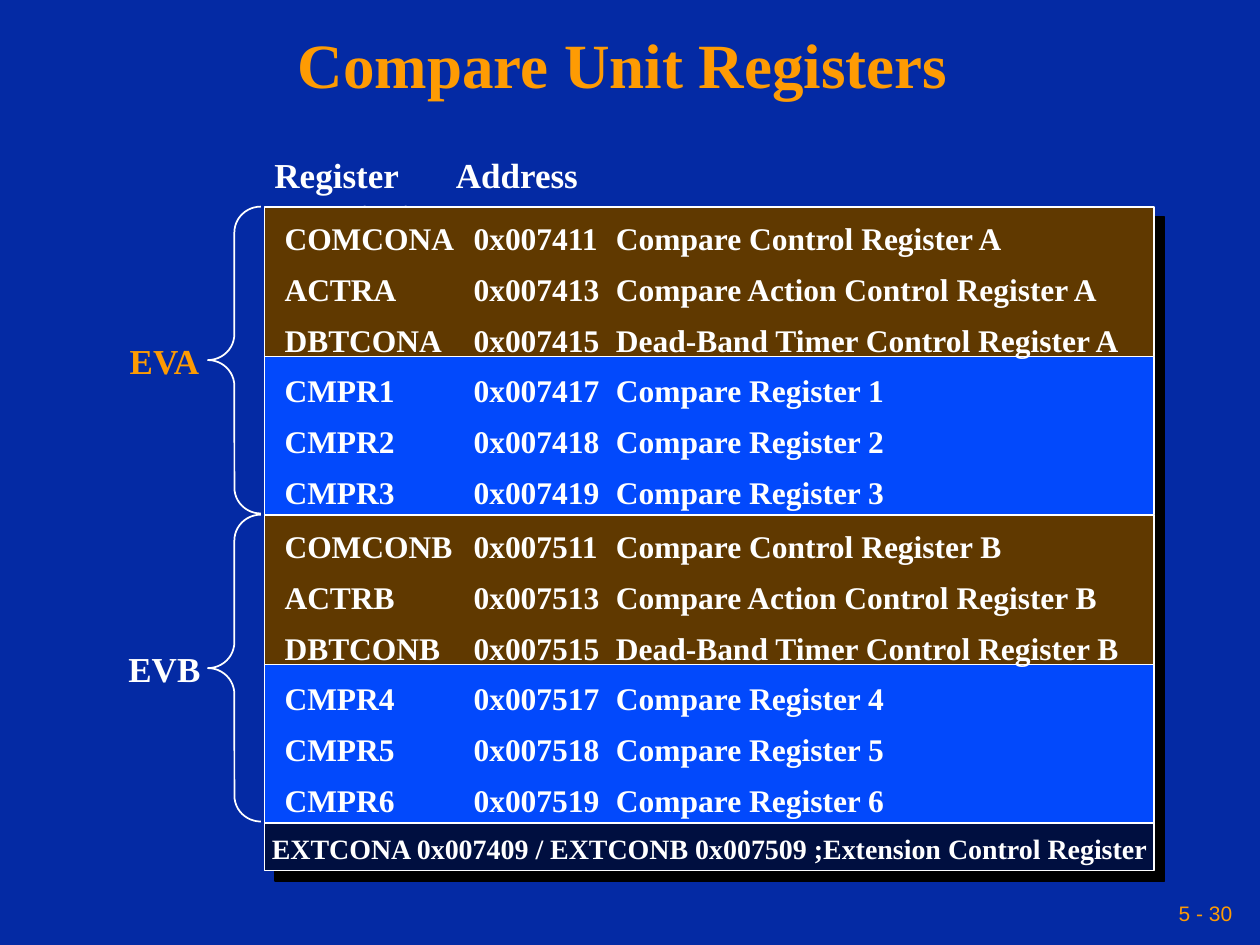
from lxml import etree
from pptx import Presentation
from pptx.dml.color import RGBColor
from pptx.enum.shapes import MSO_SHAPE
from pptx.enum.text import MSO_ANCHOR, MSO_AUTO_SIZE, PP_ALIGN
from pptx.oxml import parse_xml
from pptx.oxml.ns import nsdecls, qn
from pptx.util import Inches, Pt

RECTANGLE, LEFT_BRACE = MSO_SHAPE.RECTANGLE, MSO_SHAPE.LEFT_BRACE
LEFT, CENTER, RIGHT = PP_ALIGN.LEFT, PP_ALIGN.CENTER, PP_ALIGN.RIGHT
TOP, MIDDLE = MSO_ANCHOR.TOP, MSO_ANCHOR.MIDDLE
NO_AUTO_SIZE, GROW = MSO_AUTO_SIZE.NONE, MSO_AUTO_SIZE.SHAPE_TO_FIT_TEXT

SERIF, SANS = "Times New Roman", "Arial"
NAVY, ORANGE, WHITE = "042AA4", "FE9B03", "FFFFFF"
BROWN, BLUE, DARK = "603900", "0249FC", "000F40"

PANEL_LEFT, PANEL_WIDTH = 2.1, 7.06
GROUP_TOP, GROUP_HEIGHT = 1.64, 2.445
CONTROL_HEIGHT = 1.19

# Group name, name colour, register rows
GROUPS = [
    ("EVA", ORANGE, [
        ("COMCONA", "0x007411", "Compare Control Register A"),
        ("ACTRA", "0x007413", "Compare Action Control Register A"),
        ("DBTCONA", "0x007415", "Dead-Band Timer Control Register A"),
        ("CMPR1", "0x007417", "Compare Register 1"),
        ("CMPR2", "0x007418", "Compare Register 2"),
        ("CMPR3", "0x007419", "Compare Register 3"),
    ]),
    ("EVB", WHITE, [
        ("COMCONB", "0x007511", "Compare Control Register B"),
        ("ACTRB", "0x007513", "Compare Action Control Register B"),
        ("DBTCONB", "0x007515", "Dead-Band Timer Control Register B"),
        ("CMPR4", "0x007517", "Compare Register 4"),
        ("CMPR5", "0x007518", "Compare Register 5"),
        ("CMPR6", "0x007519", "Compare Register 6"),
    ]),
]


def color(hex_string):
    return RGBColor.from_string(hex_string)


def add_tabs(paragraph, stops):
    tab_list = etree.SubElement(paragraph._p.get_or_add_pPr(), qn("a:tabLst"))
    for stop in stops:
        tab = etree.SubElement(tab_list, qn("a:tab"))
        tab.set("pos", str(Inches(stop)))
        tab.set("algn", "l")


def add_text(slide, box, lines, size, text_color=WHITE, font=SERIF, bold=True,
             align=LEFT, anchor=TOP, wrap=False, tabs=(), gap=0, spacing=None):
    shape = slide.shapes.add_textbox(*map(Inches, box))
    text_frame = shape.text_frame
    text_frame.text = "\n".join(lines)
    text_frame.word_wrap = wrap
    text_frame.auto_size = NO_AUTO_SIZE if wrap else GROW
    text_frame.vertical_anchor = anchor
    for index, paragraph in enumerate(text_frame.paragraphs):
        if tabs:
            add_tabs(paragraph, tabs)
        paragraph.alignment = align
        if spacing:
            paragraph.line_spacing = spacing
        if index and gap:
            paragraph.space_before = Pt(gap)
        for run in paragraph.runs:
            run.font.name = font
            run.font.size = Pt(size)
            run.font.bold = bold
            run.font.color.rgb = color(text_color)


def add_panel(slide, box, fill):
    """White-edged rectangle with a hard black shadow to the lower right."""
    shape = slide.shapes.add_shape(RECTANGLE, *map(Inches, box))
    shape.fill.solid()
    shape.fill.fore_color.rgb = color(fill)
    shape.line.color.rgb = color(WHITE)
    shape.line.width = Pt(1)
    shape._element.spPr.append(parse_xml(
        f'<a:effectLst {nsdecls("a")}>'
        f'<a:outerShdw dist="{Pt(8.5)}" dir="2700000" algn="ctr" rotWithShape="0">'
        '<a:srgbClr val="000000"/></a:outerShdw></a:effectLst>'))


def add_brace(slide, box):
    brace = slide.shapes.add_shape(LEFT_BRACE, *map(Inches, box))
    brace.shadow.inherit = False
    brace.adjustments[0] = 0.49
    brace.fill.background()
    brace.line.color.rgb = color(WHITE)
    brace.line.width = Pt(1)


def add_group(slide, left, top, width, height, name, name_color, rows):
    # Control registers above, compare registers below
    add_panel(slide, (left, top, width, CONTROL_HEIGHT), BROWN)
    add_panel(slide, (left, top + CONTROL_HEIGHT, width, height - CONTROL_HEIGHT), BLUE)
    add_text(slide, (left + 0.06, top + 0.05, 6.91, 2.35),
             ["\t".join(row) for row in rows], 18, tabs=(1.5, 2.63), gap=7.4)
    # Brace and group name at the left
    add_brace(slide, (left - 0.45, top, 0.42, height - 0.01))
    add_text(slide, (left - 1.19, top + 1, 0.79, 0.44), [name], 20, name_color,
             align=CENTER, anchor=MIDDLE)


def add_extension_row(slide, left, top, width, height):
    add_panel(slide, (left, top, width, height), DARK)
    add_text(slide, (left - 0.04, top + 0.07, 7.16, 0.32),
             ["EXTCONA 0x007409 / EXTCONB 0x007509 ;Extension Control Register"],
             16, spacing=0.8)


def main():
    presentation = Presentation()
    presentation.slide_width = Inches(10)
    presentation.slide_height = Inches(7.5)
    slide = presentation.slides.add_slide(presentation.slide_layouts[6])
    slide.background.fill.solid()
    slide.background.fill.fore_color.rgb = color(NAVY)

    # Title and page number
    add_text(slide, (0.69, 0.25, 8.5, 0.58), ["Compare Unit Registers"], 36, ORANGE,
             align=CENTER, anchor=MIDDLE, wrap=True, spacing=0.9)
    add_text(slide, (6.88, 7.08, 3, 0.33), ["5 - 30"], 12, ORANGE, SANS, bold=False,
             align=RIGHT, anchor=MIDDLE, wrap=True)

    # Column headings
    add_text(slide, (2.08, 1.17, 5.2, 0.43), ["Register\tAddress\tDescription"], 20,
             tabs=(1.44, 3.63))

    # Register groups, then the extension row
    for index, group in enumerate(GROUPS):
        add_group(slide, PANEL_LEFT, GROUP_TOP + index * GROUP_HEIGHT,
                  PANEL_WIDTH, GROUP_HEIGHT, *group)
    add_extension_row(slide, PANEL_LEFT, GROUP_TOP + len(GROUPS) * GROUP_HEIGHT,
                      PANEL_WIDTH, 0.38)

    presentation.save("out.pptx")


if __name__ == "__main__":
    main()
